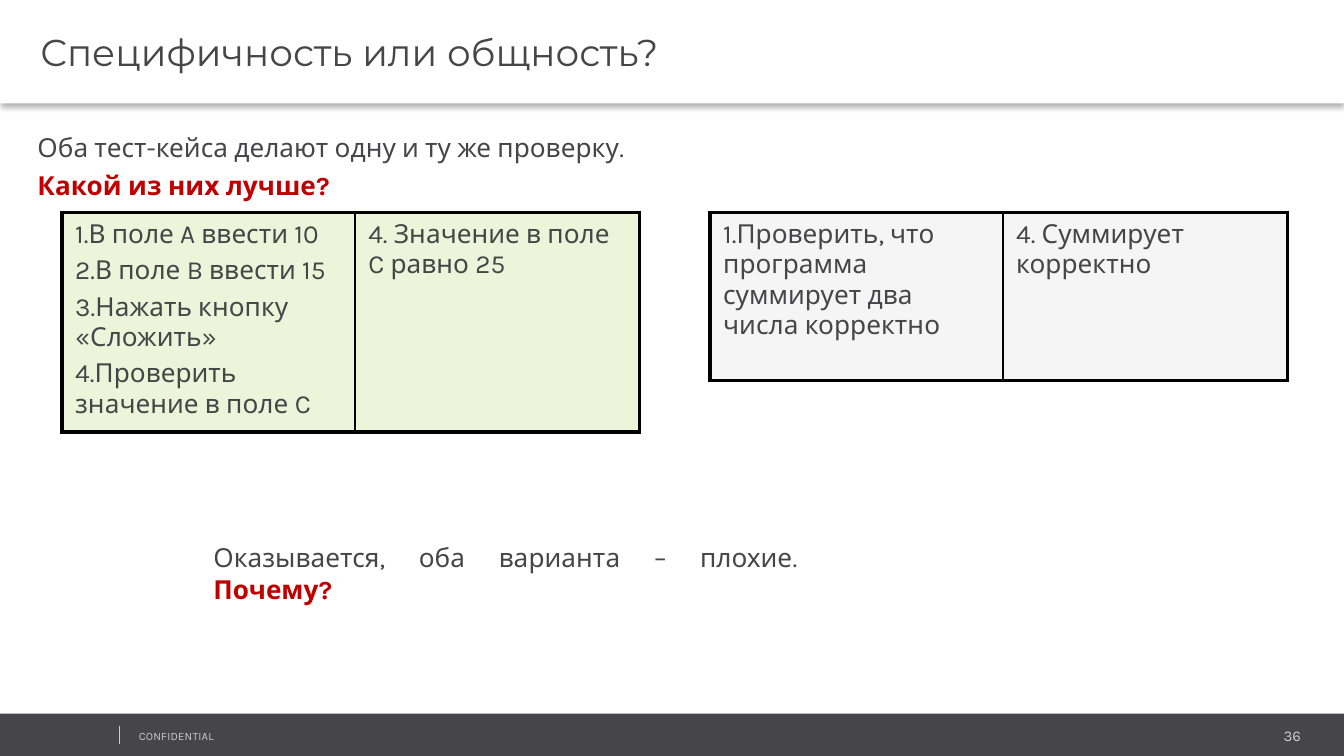
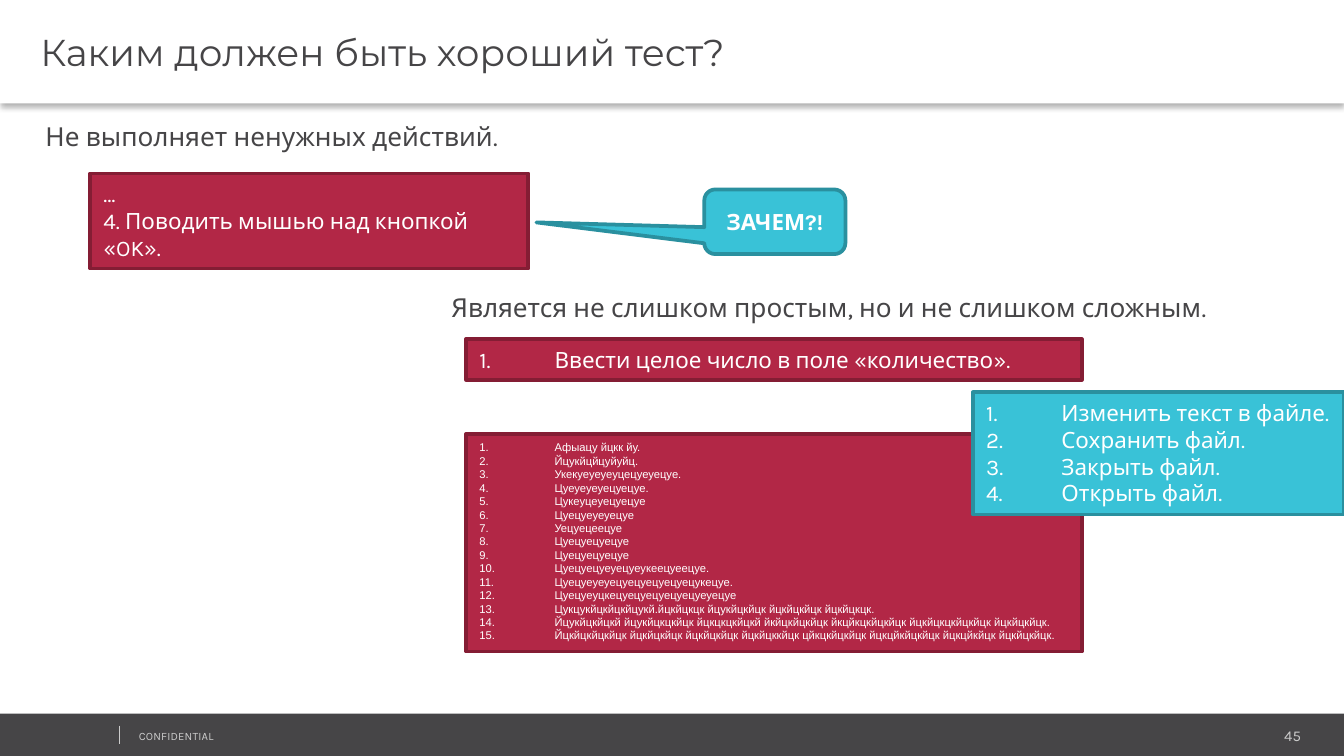
from lxml.etree import SubElement
from pptx import Presentation
from pptx.dml.color import RGBColor
from pptx.enum.shapes import MSO_CONNECTOR, MSO_SHAPE
from pptx.enum.text import MSO_ANCHOR, PP_ALIGN
from pptx.oxml import parse_xml
from pptx.oxml.ns import nsdecls, qn
from pptx.util import Pt

DARK, WHITE, PALE = "464547", "FFFFFF", "CCCCCC"
ALERT, BLACK = "C00000", "000000"
RED, WINE = "B22746", "841D34"
AQUA, TEAL = "39C2D7", "2A909F"
GREEN, GREY = "EDF4DA", "F5F5F5"
WIDE, HIGH = 720, 405
STEP = 40.3
GAP = 3.2

STEPS = [
    "1.В поле A ввести 10",
    "2.В поле B ввести 15",
    "3.Нажать кнопку «Сложить»",
    "4.Проверить значение в поле C",
]
LONG = [
    "Афыацу йцкк йу.",
    "Йцукйцйцуйуйц.",
    "Укекуеуеуеуцецуеуецуе.",
    "Цуеуеуеуецуецуе.",
    "Цукеуцеуецуецуе",
    "Цуецуеуеуецуе",
    "Уецуецеецуе",
    "Цуецуецуецуе",
    "Цуецуецуецуе",
    "Цуецуецуеуецуеукеецуеецуе.",
    "Цуецуеуеуецуецуецуецуецукецуе.",
    "Цуецуеуцкецуецуецуецуецуеуецуе",
    "Цукцукйцкйцкйцукй.йцкйцкцк йцукйцкйцк йцкйцкйцк йцкйцкцк.",
    "Йцукйцкйцкй йцукйцкцкйцк йцкцкцкйцкй йкйцкйцкйцк йкцйкцкйцкйцк "
    "йцкйцкцкйцкйцк йцкйцкйцк.",
    "Йцкйцкйцкйцк йцкйцкйцк йцкйцкйцк йцкйцккйцк цйкцкйцкйцк "
    "йцкцйкйцкйцк йцкцйкйцк йцкйцкйцк.",
]
GOOD = ["Изменить текст в файле.", "Сохранить файл.", "Закрыть файл.", "Открыть файл."]


def tint(code):
    """Turn a hex string into a colour."""
    return RGBColor.from_string(code)


def ink(run, size, hue, face="Karla", bold=False):
    """Format one run."""
    font = run.font
    font.size, font.name, font.bold = Pt(size), face, bold
    font.color.rgb = tint(hue)


def write(frame, lines, size=14, hue=DARK, face="Karla", bold=False,
          align=PP_ALIGN.LEFT, gap=0, count=False):
    """Fill a text frame with evenly styled paragraphs."""
    frame.word_wrap = True
    for i, line in enumerate(lines):
        para = frame.paragraphs[0] if i == 0 else frame.add_paragraph()
        para.text = line
        para.alignment = align
        if i and gap:
            para.space_before = Pt(gap)
        if count:
            props = para._p.get_or_add_pPr()
            props.set("marL", str(Pt(STEP)))
            props.set("indent", str(-Pt(STEP)))
            SubElement(props, qn("a:buAutoNum"), type="arabicPeriod")
        for run in para.runs:
            ink(run, size, hue, face, bold)


def place(box):
    """Convert a box in points to lengths."""
    return [Pt(n) for n in box]


def block(slide, box, fill, edge=None, kind=MSO_SHAPE.RECTANGLE):
    """Add a flat shape and return it."""
    shape = slide.shapes.add_shape(kind, *place(box))
    shape.shadow.inherit = False
    shape.fill.solid()
    shape.fill.fore_color.rgb = tint(fill)
    if edge:
        shape.line.color.rgb = tint(edge)
        shape.line.width = Pt(2)
    else:
        shape.line.fill.background()
    shape.text_frame.vertical_anchor = MSO_ANCHOR.TOP
    return shape


def label(slide, box, text, size=14, hue=DARK, pad=7.2, **style):
    """Add a one-line text box and return its frame."""
    frame = slide.shapes.add_textbox(*place(box)).text_frame
    frame.margin_left = frame.margin_right = Pt(pad)
    write(frame, [text], size, hue, **style)
    return frame


def head(slide, box, text):
    """Draw the title band with its soft shadow."""
    band = block(slide, box, WHITE)
    cast = SubElement(band._element.spPr.find(qn("a:effectLst")), qn("a:outerShdw"),
                      blurRad=str(Pt(3.1)), dist=str(Pt(2)), dir="5400000",
                      algn="t", rotWithShape="0")
    shade = SubElement(cast, qn("a:srgbClr"), val=BLACK)
    SubElement(shade, qn("a:alpha"), val="30000")
    frame = band.text_frame
    frame.vertical_anchor = MSO_ANCHOR.MIDDLE
    frame.margin_left, frame.margin_right = Pt(21.6), Pt(5)
    write(frame, [text], 20, face="Montserrat")


def foot(slide, box, page):
    """Draw the footer band, its rule, label and page number."""
    x, y, w, h = box
    block(slide, box, DARK)
    label(slide, (x + 584.6, y + 3.5, 117.4, 15), page, 8, PALE, 5,
          align=PP_ALIGN.RIGHT)
    note = label(slide, (x + 69.4, y + 4.7, 182, 13), "CONFIDENTIAL", 6, PALE, 5)
    note.paragraphs[0].runs[0]._r.get_or_add_rPr().set("spc", "10")
    rule = slide.shapes.add_connector(
        MSO_CONNECTOR.STRAIGHT, *place((x + 64, y + 6.5, x + 64, y + 16.5)))
    rule.line.color.rgb = tint(PALE)
    rule.line.width = Pt(0.25)
    SubElement(rule._element.spPr, qn("a:effectLst"))


def start(deck, title, page):
    """Add a slide with the shared title and footer."""
    slide = deck.slides.add_slide(deck.slide_layouts[6])
    foot(slide, (0, 382.3, WIDE, HIGH - 382.3), page)
    head(slide, (0, 0, WIDE, 55.4), title)
    return slide


def edge(cell, sides):
    """Set the four borders of a cell, in order left, right, top, bottom."""
    props = cell._tc.get_or_add_tcPr()
    for i, (side, width) in enumerate(zip("LRTB", sides)):
        props.insert(i, parse_xml(
            f'<a:ln{side} {nsdecls("a")} w="{Pt(width)}"><a:solidFill>'
            f'<a:srgbClr val="{BLACK}"/></a:solidFill></a:ln{side}>'))


def case(slide, box, fill, parts):
    """Draw a test case as steps beside the expected result."""
    grid = slide.shapes.add_table(1, 2, *place(box)).table
    grid.first_row = grid.horz_banding = False
    grid.rows[0].height = Pt(box[3])
    sizes = (157, box[2] - 157)
    sides = ((2.25, 1, 2.25, 2.25), (1, 2.25, 2.25, 2.25))
    for i, lines in enumerate(parts):
        grid.columns[i].width = Pt(sizes[i])
        cell = grid.cell(0, i)
        cell.fill.solid()
        cell.fill.fore_color.rgb = tint(fill)
        write(cell.text_frame, lines, gap=GAP)
        edge(cell, sides[i])


def card(slide, box, lines, size=12, face="Karla", fill=RED, line=WINE, count=True):
    """Draw a filled card of steps."""
    shape = block(slide, box, fill, line)
    write(shape.text_frame, lines, size, WHITE, face, count=count)


def useless(slide, box):
    """Show a needless step and the question about it."""
    x, y, w, h = box
    label(slide, (x, y, 360, 24.5), "Не выполняет ненужных действий.")
    card(slide, (x + 31, y + 31.7, 234.7, 51),
         ["…", "4. Поводить мышью над кнопкой «OK»."], count=False)
    call = block(slide, (x + 360, y + 40.3, 75.6, 34.6), AQUA, TEAL,
                 MSO_SHAPE.ROUNDED_RECTANGULAR_CALLOUT)
    for i, value in enumerate((-1.69, 0.01, 0.17)):
        call.adjustments[i] = value
    call.text_frame.vertical_anchor = MSO_ANCHOR.MIDDLE
    write(call.text_frame, ["ЗАЧЕМ?!"], 12, WHITE, bold=True, align=PP_ALIGN.CENTER)


def balance(slide, box):
    """Compare tests that are too simple, too complex and just right."""
    x, y, w, h = box
    label(slide, (x, y, 435.6, 24.5),
          "Является не слишком простым, но и не слишком сложным.")
    card(slide, (x + 15, y + 29.1, 329.8, 21.8),
         ["Ввести целое число в поле «количество»."])
    card(slide, (x + 15, y + 79.9, 329.8, 116.6), LONG, 6, "Arial")
    card(slide, (x + w - 198.8, y + 57.6, 198.8, 65.5), GOOD, fill=AQUA, line=TEAL)


def compare(deck):
    """Build the slide on specific and general cases."""
    slide = start(deck, "Специфичность или общность?", "36")
    intro = block(slide, (13, 67, 340.6, 46.8), WHITE).text_frame
    write(intro, ["Оба тест-кейса делают одну и ту же проверку.", "Какой из них лучше?"],
          align=PP_ALIGN.JUSTIFY, gap=GAP)
    ink(intro.paragraphs[1].runs[0], 14, ALERT, bold=True)
    case(slide, (33.1, 113.8, 309.6, 114), GREEN,
         [STEPS, ["4. Значение в поле C равно 25"]])
    case(slide, (380.2, 113.8, 309.6, 90), GREY,
         [["1.Проверить, что программа суммирует два числа корректно"],
          ["4. Суммирует корректно"]])
    close = block(slide, (107.3, 286.6, 326.9, 26), WHITE).text_frame
    write(close, ["Оказывается, оба варианта – плохие. "], align=PP_ALIGN.JUSTIFY)
    ask = close.paragraphs[0].add_run()
    ask.text = "Почему?"
    ink(ask, 14, ALERT, bold=True)


def advise(deck):
    """Build the slide on what makes a good test."""
    slide = start(deck, "Каким должен быть хороший тест?", "45")
    useless(slide, (17.3, 61.2, 436, 83))
    balance(slide, (234.7, 152.6, WIDE - 234.7, 197))


def main():
    """Build and save the deck."""
    deck = Presentation()
    deck.slide_width, deck.slide_height = Pt(WIDE), Pt(HIGH)
    compare(deck)
    advise(deck)
    deck.save("out.pptx")


if __name__ == "__main__":
    main()
